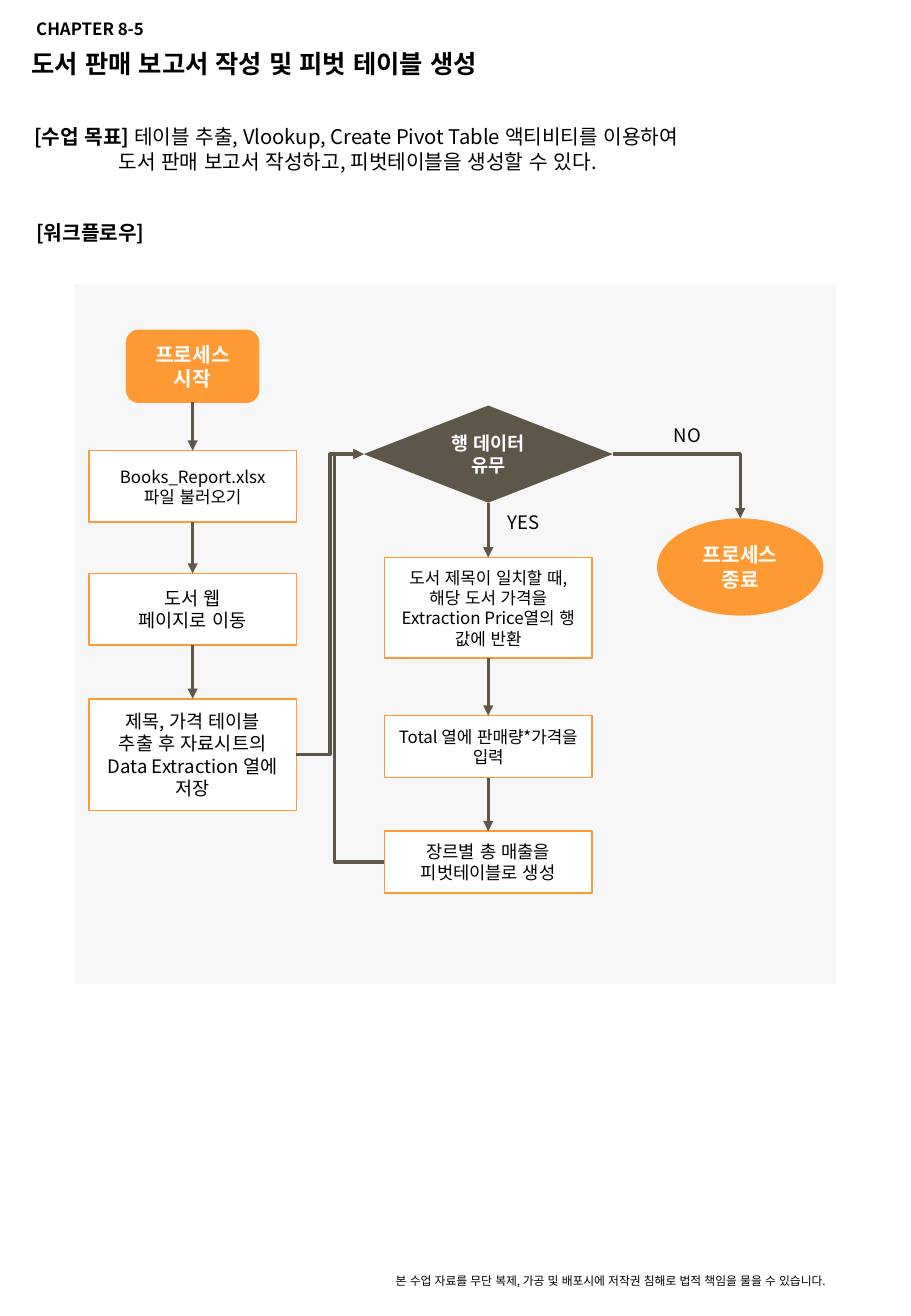
from dataclasses import dataclass

from lxml import etree
from pptx import Presentation
from pptx.dml.color import RGBColor
from pptx.enum.lang import MSO_LANGUAGE_ID
from pptx.enum.shapes import MSO_CONNECTOR, MSO_SHAPE
from pptx.enum.text import MSO_ANCHOR, MSO_AUTO_SIZE, PP_ALIGN
from pptx.oxml.ns import qn
from pptx.util import Pt

FONT = "Noto Sans CJK KR"
COLOURS = {
    "black": "000000",
    "white": "FFFFFF",
    "orange": "FF9933",
    "brown": "5F564A",
    "panel": "F2F2F2",
}
KOREAN = MSO_LANGUAGE_ID.KOREAN
STRAIGHT, ELBOW = MSO_CONNECTOR.STRAIGHT, MSO_CONNECTOR.ELBOW
PROCESS = MSO_SHAPE.FLOWCHART_PROCESS
START = MSO_SHAPE.FLOWCHART_ALTERNATE_PROCESS
DECISION = MSO_SHAPE.FLOWCHART_DECISION
OVAL = MSO_SHAPE.OVAL
LEFT, CENTER = PP_ALIGN.LEFT, PP_ALIGN.CENTER
TOP, MIDDLE = MSO_ANCHOR.TOP, MSO_ANCHOR.MIDDLE
NO_FIT = MSO_AUTO_SIZE.NONE
TOP_SITE, BOTTOM_SITE = 0, 2

LEFT_AXIS, MIDDLE_AXIS, RIGHT_AXIS = 114.2, 289.4, 438.8
STEP_WIDTH = 123
DECISION_Y = 269.1


@dataclass
class Node:
    name: str
    axis: float
    top: float
    height: float
    lines: tuple[str, ...]
    size: float
    width: float = STEP_WIDTH
    kind: MSO_SHAPE = PROCESS
    fill: str = "white"
    outline: str | None = "orange"


@dataclass
class Label:
    text: str
    left: float
    top: float
    width: float
    height: float
    size: float
    bold: bool = False


@dataclass
class Bend:
    start: tuple[float, float]
    end: tuple[float, float]
    preset: str
    adjust: int | None = None


NODES = [
    Node("start", LEFT_AXIS, 195.8, 42.5, ("프로세스", "시작"), 12, 78, START, "orange"),
    Node("load", LEFT_AXIS, 267, 42.5, ("Books_Report.xlsx", "파일 불러오기"), 10),
    Node("web", LEFT_AXIS, 339.8, 42.5, ("도서 웹", "페이지로 이동"), 11),
    Node("extract", LEFT_AXIS, 414, 66.2,
         ("제목, 가격 테이블", "추출 후 자료시트의 Data Extraction 열에 저장"), 11),
    Node("decision", MIDDLE_AXIS, 240.3, 57.6, ("행 데이터", "유무"), 11, 147.6,
         DECISION, "brown", None),
    Node("end", RIGHT_AXIS, 307.2, 57.6, ("프로세스 종료",), 12, 98.6, OVAL, "orange", None),
    Node("match", MIDDLE_AXIS, 330.3, 59.8,
         ("도서 제목이 일치할 때, 해당 도서 가격을 Extraction Price열의 행 값에 반환",), 10),
    Node("total", MIDDLE_AXIS, 424, 36.7, ("Total 열에 판매량*가격을 입력",), 10),
    Node("pivot", MIDDLE_AXIS, 492.5, 36.7, ("장르별 총 매출을 피벗테이블로 생성",), 10.5),
]
FLOWS = [("start", "load", "web", "extract"), ("decision", "match", "total", "pivot")]
BENDS = [
    Bend((175.7, 447.1), (215.6, DECISION_Y), "bentConnector3", 50000),
    Bend((363.2, DECISION_Y), (RIGHT_AXIS, 307.2), "bentConnector2"),
    Bend((227.9, 510.9), (215.6, DECISION_Y), "bentConnector3", 239000),
]
LABELS = [
    Label("CHAPTER 8-5", 14.4, 7.4, 92.9, 19.4, 10, True),
    Label("본 수업 자료를 무단 복제, 가공 및 배포시에 저작권 침해로 법적 책임을 물을 수 있습니다.",
          227.5, 751, 297.4, 15.1, 7),
    Label("[워크플로우]", 14.4, 126.7, 489.6, 21.6, 12, True),
    Label("NO", 392.4, 247.7, 35.3, 20.9, 11),
    Label("YES", 293.8, 299.3, 35.3, 20.9, 11),
]


def colour(name: str) -> RGBColor:
    return RGBColor.from_string(COLOURS[name])


def add_span(para, text: str, size: float, bold: bool = False, ink: str = "black") -> None:
    span = para.add_run()
    span.text = text
    span.font.name = FONT
    span.font.size = Pt(size)
    span.font.bold = bold
    span.font.color.rgb = colour(ink)
    span.font.language_id = KOREAN
    latin = span.font._element.find(qn("a:latin"))
    east_asian = etree.Element(qn("a:ea"), typeface=FONT)
    latin.addnext(east_asian)


def place(box, left: float, top: float, width: float, height: float) -> None:
    box.left, box.top, box.width, box.height = Pt(left), Pt(top), Pt(width), Pt(height)
    frame = box.text_frame
    frame.word_wrap = True
    frame.auto_size = NO_FIT
    frame.vertical_anchor = TOP


def add_goal_line(para, indent: float) -> None:
    para.space_before = Pt(0)
    properties = para._p.get_or_add_pPr()
    properties.set("marL", str(Pt(indent)))
    properties.set("indent", "0")
    etree.SubElement(properties, qn("a:buNone"))


def fill_headings(page) -> None:
    title = page.shapes.title
    place(title, 11.5, 25.2, 319, 25.2)
    heading = title.text_frame.paragraphs[0]
    heading.alignment = LEFT
    add_span(heading, "도서 판매 보고서 작성 및 피벗 테이블 생성", 15, True)

    body = page.placeholders[1]
    place(body, 13, 70.2, 489.6, 36)
    goal = body.text_frame.paragraphs[0]
    add_goal_line(goal, 0)
    add_span(goal, "[수업 목표] ", 12, True)
    add_span(goal, "테이블 추출, Vlookup, Create Pivot Table 액티비티를 이용하여", 12)
    detail = body.text_frame.add_paragraph()
    add_goal_line(detail, 50)
    add_span(detail, "도서 판매 보고서 작성하고, 피벗테이블을 생성할 수 있다.", 12)


def add_label(page, label: Label) -> None:
    box = page.shapes.add_textbox(0, 0, 0, 0)
    place(box, label.left, label.top, label.width, label.height)
    add_span(box.text_frame.paragraphs[0], label.text, label.size, label.bold)


def add_panel(page) -> None:
    panel = page.shapes.add_shape(PROCESS, Pt(44), Pt(168.5), Pt(452), Pt(414.7))
    panel.shadow.inherit = False
    panel.line.fill.background()
    panel.fill.solid()
    panel.fill.fore_color.rgb = colour("panel")
    tint = panel._element.spPr.find(qn("a:solidFill")).find(qn("a:srgbClr"))
    etree.SubElement(tint, qn("a:alpha"), val="54000")


def add_node(page, node: Node):
    box = page.shapes.add_shape(node.kind, Pt(node.axis - node.width / 2), Pt(node.top),
                                Pt(node.width), Pt(node.height))
    box.shadow.inherit = False
    box.fill.solid()
    box.fill.fore_color.rgb = colour(node.fill)
    if node.outline:
        box.line.color.rgb = colour(node.outline)
        box.line.width = Pt(1)
    else:
        box.line.fill.background()
    frame = box.text_frame
    frame.word_wrap = True
    frame.vertical_anchor = MIDDLE
    plain = node.fill == "white"
    for index, line in enumerate(node.lines):
        para = frame.add_paragraph() if index else frame.paragraphs[0]
        para.alignment = CENTER
        add_span(para, line, node.size, not plain, "black" if plain else "white")
    return box


def add_arrow(page, kind: MSO_CONNECTOR, start: tuple[float, float], end: tuple[float, float]):
    arrow = page.shapes.add_connector(kind, *map(Pt, start + end))
    arrow.line.color.rgb = colour("brown")
    arrow.line.width = Pt(2)
    etree.SubElement(arrow.line._get_or_add_ln(), qn("a:tailEnd"), type="triangle")
    etree.SubElement(arrow._element.spPr, qn("a:effectLst"))
    return arrow


def add_bend(page, bend: Bend) -> None:
    arrow = add_arrow(page, ELBOW, bend.start, bend.end)
    geometry = arrow._element.spPr.find(qn("a:prstGeom"))
    geometry.set("prst", bend.preset)
    if bend.adjust is not None:
        guides = geometry.find(qn("a:avLst"))
        etree.SubElement(guides, qn("a:gd"), name="adj1", fmla=f"val {bend.adjust}")


def main() -> None:
    deck = Presentation()
    deck.slide_width, deck.slide_height = Pt(540), Pt(779.76)
    page = deck.slides.add_slide(deck.slide_layouts[1])
    fill_headings(page)
    add_panel(page)
    boxes = {node.name: add_node(page, node) for node in NODES}
    for flow in FLOWS:
        for source, target in zip(flow, flow[1:]):
            arrow = add_arrow(page, STRAIGHT, (0, 0), (0, 0))
            arrow.begin_connect(boxes[source], BOTTOM_SITE)
            arrow.end_connect(boxes[target], TOP_SITE)
    for bend in BENDS:
        add_bend(page, bend)
    for label in LABELS:
        add_label(page, label)
    deck.save("out.pptx")


if __name__ == "__main__":
    main()
